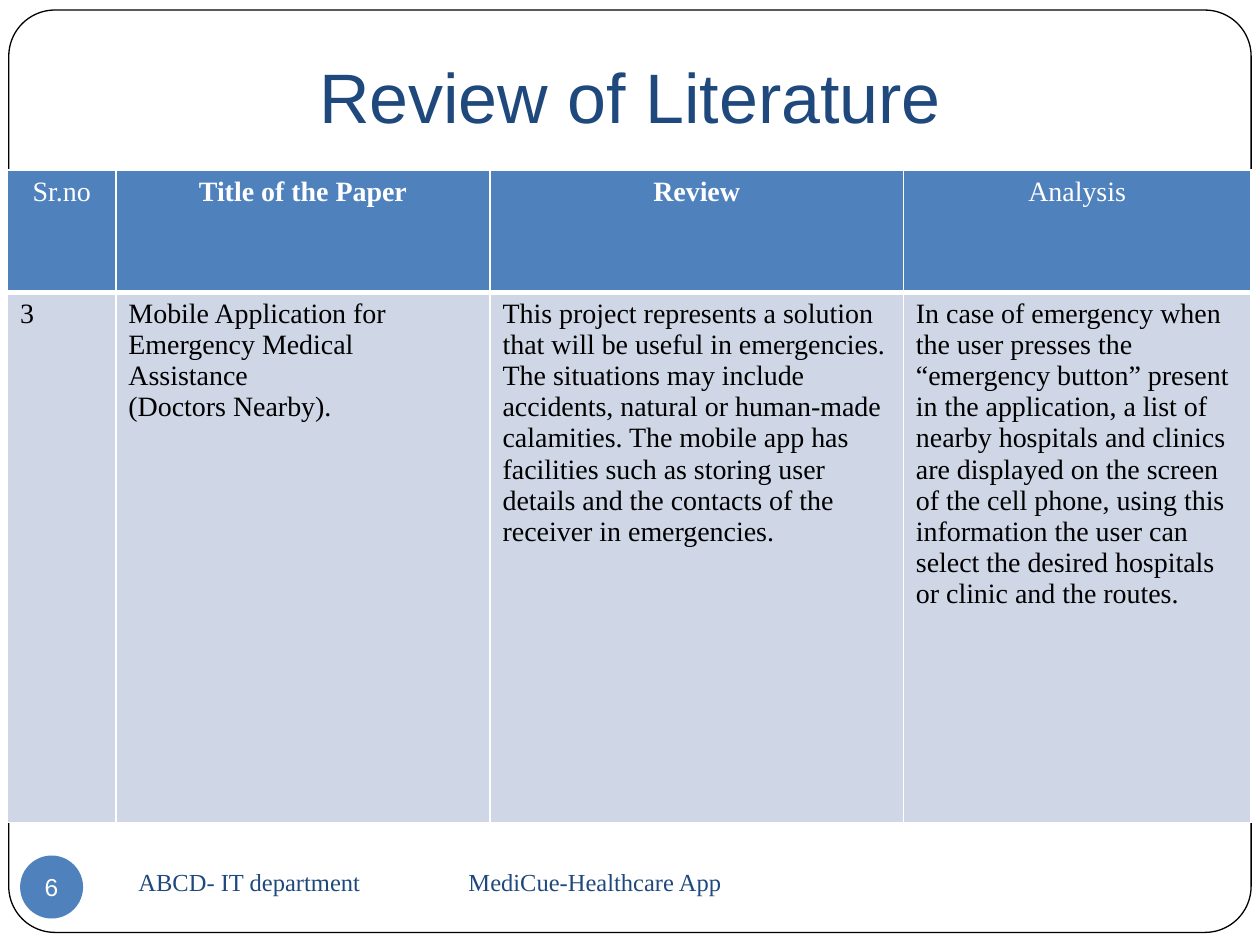
from lxml import etree
from pptx import Presentation
from pptx.dml.color import RGBColor
from pptx.enum.shapes import MSO_SHAPE
from pptx.enum.text import MSO_ANCHOR, PP_ALIGN
from pptx.oxml.ns import qn
from pptx.util import Inches, Pt

ROUND, OVAL = MSO_SHAPE.ROUNDED_RECTANGLE, MSO_SHAPE.OVAL
MID, LOW = MSO_ANCHOR.MIDDLE, MSO_ANCHOR.BOTTOM
LEFT, CENTER = PP_ALIGN.LEFT, PP_ALIGN.CENTER
SANS, SERIF = "Arial", "Times New Roman"
HUES = {"navy": "1F497D", "blue": "4F81BD", "pale": "CFD7E7",
        "white": "FFFFFF", "black": "000000"}
TONE = {name: RGBColor.from_string(code) for name, code in HUES.items()}


def write(frame, lines, size, font, hue, align=LEFT, bold=False):
    frame.word_wrap = True
    for i, line in enumerate(lines):
        para = frame.add_paragraph() if i else frame.paragraphs[0]
        para.alignment = align
        run = para.add_run()
        run.text = line
        run.font.size = Pt(size)
        run.font.name = font
        run.font.bold = bold
        run.font.color.rgb = TONE[hue]


def edge(cell, side, width):
    line = etree.SubElement(cell._tc.get_or_add_tcPr(), qn(f"a:ln{side}"),
                            w=str(Pt(width)))
    fill = etree.SubElement(line, qn("a:solidFill"))
    etree.SubElement(fill, qn("a:srgbClr"), val=HUES["white"])


deck = Presentation()
deck.slide_width, deck.slide_height = Inches(10), Inches(7.5)
unit = deck.slide_width / 10
slide = deck.slides.add_slide(deck.slide_layouts[6])
shapes = slide.shapes

border = shapes.add_shape(ROUND, *[int(n * unit) for n in (0.07, 0.08, 9.86, 7.32)])
border.adjustments[0] = 0.05
border.shadow.inherit = False
border.fill.solid()
border.fill.fore_color.rgb = TONE["white"]
border.line.color.rgb = TONE["black"]
border.line.width = Pt(0.75)

title = shapes.add_textbox(*[int(n * unit) for n in (0, 0.25, 10, 0.94)])
title.text_frame.vertical_anchor = LOW
title.text_frame.margin_bottom = Inches(0.1)
write(title.text_frame, ["Review of Literature"], 40, SANS, "navy", CENTER)

badge = shapes.add_shape(OVAL, *[int(n * unit) for n in (0.16, 6.79, 0.5, 0.5)])
badge.shadow.inherit = False
badge.fill.solid()
badge.fill.fore_color.rgb = TONE["blue"]
badge.line.fill.background()
frame = badge.text_frame
frame.margin_left = frame.margin_right = frame.margin_top = frame.margin_bottom = 0
frame.vertical_anchor = MID
write(frame, ["6"], 14, SANS, "white", CENTER)

heads = [("Sr.no", False), ("Title of the Paper", True),
         ("Review", True), ("Analysis", False)]
body = [
    ["3"],
    ["Mobile Application for Emergency Medical Assistance", "(Doctors Nearby)."],
    ["This project represents a solution that will be useful in emergencies. "
     "The situations may include accidents, natural or human-made calamities. "
     "The mobile app has facilities such as storing user details and the "
     "contacts of the receiver in emergencies."],
    ["In case of emergency when the user presses the “emergency button” present "
     "in the application, a list of nearby hospitals and clinics are displayed "
     "on the screen of the cell phone, using this information the user can "
     "select the desired hospitals or clinic and the routes."],
]
cols, rows = (0.86, 2.97, 3.28, 2.76), (0.97, 4.21)
area = (0.06, 1.35, sum(cols), sum(rows))
table = shapes.add_table(2, 4, *[int(n * unit) for n in area]).table
for row, tall in zip(table.rows, rows):
    row.height = int(tall * unit)
for c, wide in enumerate(cols):
    table.columns[c].width = int(wide * unit)
    head, cell = table.cell(0, c), table.cell(1, c)
    label, bold = heads[c]
    write(head.text_frame, [label], 16, SERIF, "white", CENTER, bold)
    write(cell.text_frame, body[c], 16, SERIF, "black")
    for box, hue, top, low in ((head, "blue", 1, 3), (cell, "pale", 3, 1)):
        for side, width in zip("LRTB", (1, 1, top, low)):
            edge(box, side, width)
        box.fill.solid()
        box.fill.fore_color.rgb = TONE[hue]

foot = shapes.add_textbox(*[int(n * unit) for n in (1, 6.75, 6.56, 0.5)])
foot.text_frame.vertical_anchor = MID
write(foot.text_frame, ["ABCD- IT department\tMediCue-Healthcare App"],
      14, SERIF, "navy")
props = foot.text_frame.paragraphs[0]._p.get_or_add_pPr()
tabs = etree.SubElement(props, qn("a:tabLst"))
etree.SubElement(tabs, qn("a:tab"), pos=str(int(2.62 * unit)), algn="l")

deck.save("out.pptx")
